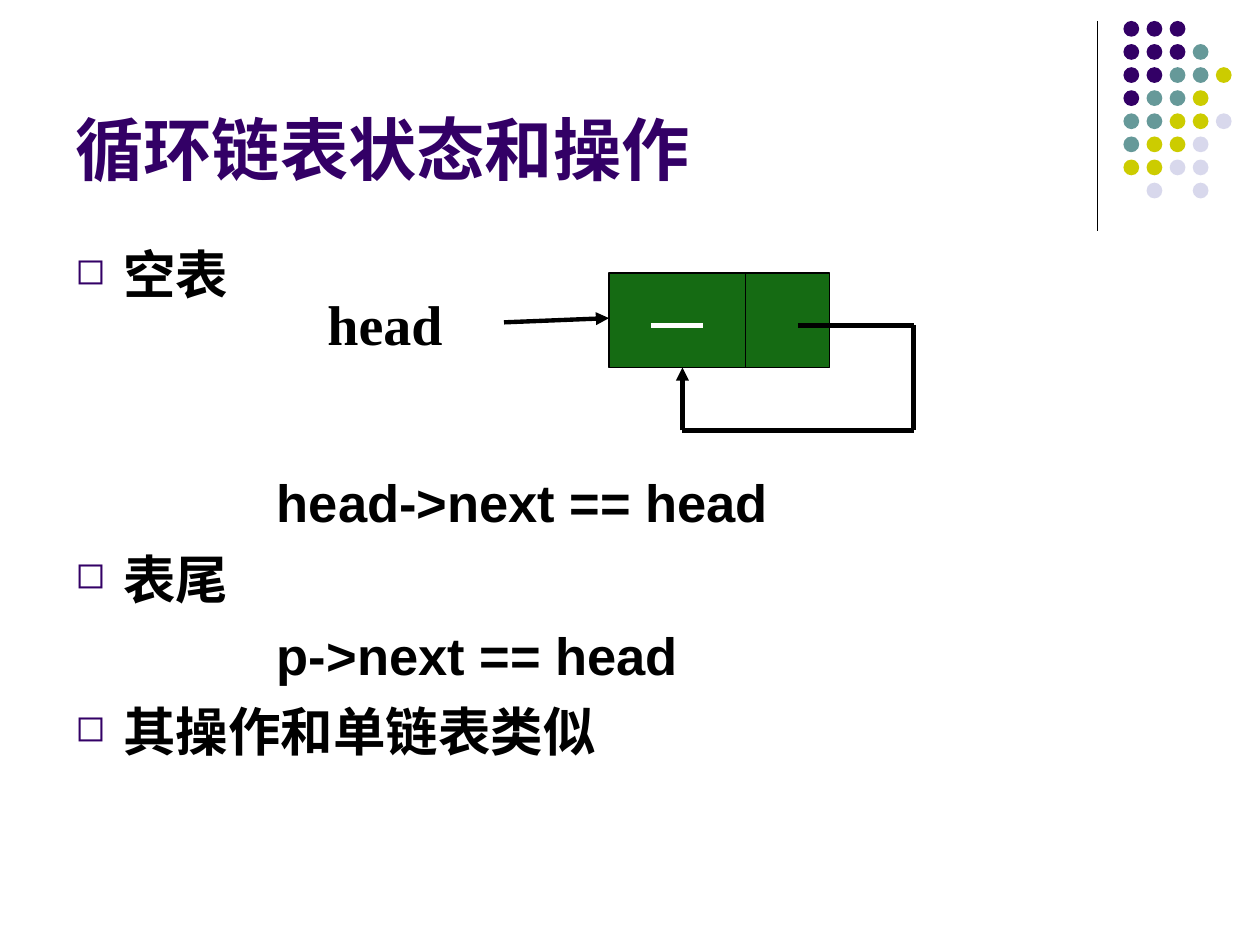
from dataclasses import dataclass

from lxml.etree import SubElement
from pptx import Presentation
from pptx.dml.color import RGBColor
from pptx.enum.shapes import MSO_CONNECTOR as Connector, MSO_SHAPE as Shape
from pptx.enum.text import MSO_ANCHOR as Anchor
from pptx.oxml.ns import qn
from pptx.slide import Slide
from pptx.text.text import TextFrame, _Paragraph as Paragraph
from pptx.util import Inches, Pt

PURPLE = RGBColor(0x33, 0x00, 0x66)
TEAL = RGBColor(0x66, 0x99, 0x99)
OLIVE = RGBColor(0xCC, 0xCC, 0x00)
LAVENDER = RGBColor(0xD8, 0xD8, 0xEC)
GREEN = RGBColor(0x15, 0x6B, 0x13)
BLACK = RGBColor(0x00, 0x00, 0x00)
WHITE = RGBColor(0xFF, 0xFF, 0xFF)

CELLS_PER_INCH = 12
DOT_PITCH = 2.2
DOT_SIZE = 1.5
DOT_COLORS = {"P": PURPLE, "T": TEAL, "O": OLIVE, "L": LAVENDER}
DOT_ROWS = ("PPP", "PPPT", "PPTTO", "PTTO", "TTOOL", "TOOL", "OOLL", " L L")


@dataclass(frozen=True)
class Area:
    col: float
    row: float
    cols: float
    rows: float


@dataclass(frozen=True)
class Stroke:
    start: tuple[float, float]
    end: tuple[float, float]
    color: RGBColor = BLACK
    weight: float = 2.5
    arrow: bool = False


@dataclass(frozen=True)
class TextStyle:
    size: float
    color: RGBColor = BLACK
    family: str = "Arial"


@dataclass(frozen=True)
class Point:
    text: str
    bulleted: bool = True
    space_before: float = 7.5


TITLE_STYLE = TextStyle(39, PURPLE)
BODY_STYLE = TextStyle(30)
LABEL_STYLE = TextStyle(32, family="Times New Roman")

POINTS = (
    Point("空表", space_before=0),
    Point("head->next == head", bulleted=False, space_before=94.3),
    Point("表尾"),
    Point("p->next == head", bulleted=False),
    Point("其操作和单链表类似"),
)

MARGIN_RULE = Stroke((104.5, 2), (104.5, 22), weight=0.75)
NODE = Area(58, 26, 21, 9)
NODE_STROKES = (
    Stroke((71, 26), (71, 35), weight=1),
    Stroke((48, 30.7), (58, 30.3), arrow=True),
    Stroke((62, 31), (67, 31), WHITE),
    Stroke((76, 31), (87, 31)),
    Stroke((87, 31), (87, 41)),
    Stroke((87, 41), (65, 41)),
    Stroke((65, 41), (65, 35), arrow=True),
)


def grid(cells: float) -> int:
    return Inches(cells / CELLS_PER_INCH)


def draw_shape(slide: Slide, preset: Shape, area: Area, fill: RGBColor,
               outlined: bool = False) -> None:
    shape = slide.shapes.add_shape(
        preset, grid(area.col), grid(area.row), grid(area.cols), grid(area.rows))
    shape.shadow.inherit = False
    shape.fill.solid()
    shape.fill.fore_color.rgb = fill
    if outlined:
        shape.line.color.rgb = BLACK
        shape.line.width = Pt(1)
    else:
        shape.line.fill.background()


def draw_stroke(slide: Slide, stroke: Stroke) -> None:
    connector = slide.shapes.add_connector(
        Connector.STRAIGHT, *map(grid, stroke.start + stroke.end))
    connector.line.color.rgb = stroke.color
    connector.line.width = Pt(stroke.weight)
    if stroke.arrow:
        SubElement(connector.line._get_or_add_ln(), qn("a:tailEnd"), type="triangle")
    SubElement(connector._element.spPr, qn("a:effectLst"))


def add_frame(slide: Slide, area: Area, anchor: Anchor = Anchor.TOP) -> TextFrame:
    frame = slide.shapes.add_textbox(
        grid(area.col), grid(area.row), grid(area.cols), grid(area.rows)).text_frame
    frame.word_wrap = True
    frame.vertical_anchor = anchor
    return frame


def add_text(paragraph: Paragraph, text: str, style: TextStyle) -> None:
    run = paragraph.add_run()
    run.text = text
    run.font.name = style.family
    run.font.size = Pt(style.size)
    run.font.bold = True
    run.font.color.rgb = style.color


def set_indent(paragraph: Paragraph, bulleted: bool) -> None:
    properties = paragraph._p.get_or_add_pPr()
    if not bulleted:
        properties.set("marL", str(Inches(1.6)))
        return
    properties.set("marL", str(Inches(0.38)))
    properties.set("indent", str(-Inches(0.38)))
    bullet_color = SubElement(properties, qn("a:buClr"))
    SubElement(bullet_color, qn("a:srgbClr"), val=str(PURPLE))
    SubElement(properties, qn("a:buSzPct"), val="70000")
    SubElement(properties, qn("a:buChar"), char="◻")


def draw_points(slide: Slide, area: Area, points: tuple[Point, ...]) -> None:
    frame = add_frame(slide, area)
    for index, point in enumerate(points):
        paragraph = frame.add_paragraph() if index else frame.paragraphs[0]
        set_indent(paragraph, point.bulleted)
        paragraph.space_before = Pt(point.space_before)
        add_text(paragraph, point.text, BODY_STYLE)


def draw_dots(slide: Slide) -> None:
    for row, codes in enumerate(DOT_ROWS):
        for col, code in enumerate(codes):
            if code in DOT_COLORS:
                dot = Area(107 + col * DOT_PITCH, 2 + row * DOT_PITCH, DOT_SIZE, DOT_SIZE)
                draw_shape(slide, Shape.OVAL, dot, DOT_COLORS[code])


def main() -> None:
    deck = Presentation()
    deck.slide_width, deck.slide_height = Inches(10), Inches(7.5)
    slide = deck.slides.add_slide(deck.slide_layouts[6])

    draw_stroke(slide, MARGIN_RULE)
    draw_dots(slide)

    title = add_frame(slide, Area(6, 1.6, 99, 17), Anchor.BOTTOM)
    add_text(title.paragraphs[0], "循环链表状态和操作", TITLE_STYLE)
    draw_points(slide, Area(6, 22.5, 108, 57.8), POINTS)

    draw_shape(slide, Shape.RECTANGLE, NODE, GREEN, outlined=True)
    for stroke in NODE_STROKES:
        draw_stroke(slide, stroke)
    label = add_frame(slide, Area(30, 27, 22, 7.7))
    add_text(label.paragraphs[0], "head", LABEL_STYLE)

    deck.save("out.pptx")


if __name__ == "__main__":
    main()
